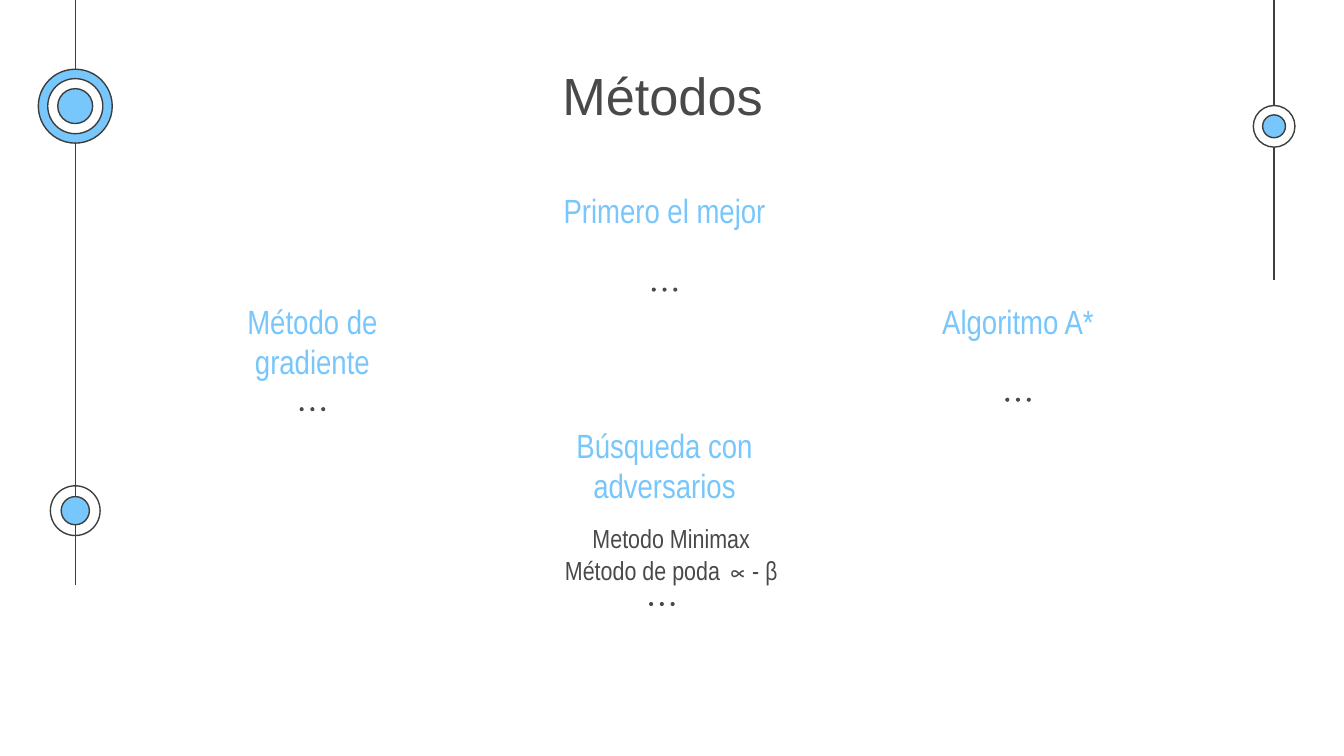
from lxml import etree
from pptx import Presentation
from pptx.dml.color import RGBColor
from pptx.enum.shapes import MSO_CONNECTOR, MSO_SHAPE
from pptx.enum.text import MSO_ANCHOR, MSO_AUTO_SIZE, PP_ALIGN
from pptx.oxml.ns import qn
from pptx.util import Inches, Pt

STRAIGHT = MSO_CONNECTOR.STRAIGHT
OVAL = MSO_SHAPE.OVAL
TOP = MSO_ANCHOR.TOP
NO_FIT = MSO_AUTO_SIZE.NONE
CENTER = PP_ALIGN.CENTER

SKY = RGBColor(0x77, 0xC6, 0xFC)
WHITE = RGBColor(0xFF, 0xFF, 0xFF)
INK = RGBColor(0x3D, 0x3D, 0x3D)
GRAY = RGBColor(0x49, 0x49, 0x49)

TITLE_FONT = "Arial"
BODY_FONT = "Arial Narrow"
SLIDE_WIDTH = Inches(10)
SLIDE_HEIGHT = SLIDE_WIDTH * 9 // 16
HEADING_WIDTH, HEADING_HEIGHT = 1.93, 0.36
DOT_SIZE, DOT_STEP = 0.03, 0.08

METHODS = [
    ("Primero el mejor", 3.98, 1.31, 0.87, 0.83),
    ("Método de gradiente", 1.36, 2.14, 0.87, 0.89),
    ("Algoritmo A*", 6.61, 2.14, 0.87, 0.82),
    ("Búsqueda con adversarios", 3.98, 3.06, 0.85, 1.42),
]
ADVERSARIAL_METHODS = ["Metodo Minimax", "Método de poda ∝- β"]


def place(holder, left, top, width, height):
    holder.left, holder.top = Inches(left), Inches(top)
    holder.width, holder.height = Inches(width), Inches(height)


def write(frame, lines, size, font_name, color):
    frame.word_wrap = True
    frame.auto_size = NO_FIT
    frame.vertical_anchor = TOP
    frame.margin_left = frame.margin_right = Inches(0.1)
    frame.margin_top = frame.margin_bottom = Inches(0.1)
    frame.text = "\n".join(lines)
    for paragraph in frame.paragraphs:
        paragraph.alignment = CENTER
        paragraph.space_before = Pt(0)
        paragraph.font.size = Pt(size)
        paragraph.font.name = font_name
        paragraph.font.color.rgb = color


def remove_bullets(frame):
    for paragraph in frame.paragraphs:
        properties = paragraph._p.get_or_add_pPr()
        properties.set("marL", "0")
        properties.set("indent", "0")
        properties.insert_element_before(
            properties.makeelement(qn("a:buNone")), "a:tabLst", "a:defRPr", "a:extLst")


def add_disc(slide, center_x, center_y, diameter, fill, outline=None):
    disc = slide.shapes.add_shape(
        OVAL, Inches(center_x - diameter / 2), Inches(center_y - diameter / 2),
        Inches(diameter), Inches(diameter))
    disc.shadow.inherit = False
    if fill is None:
        disc.fill.background()
    else:
        disc.fill.solid()
        disc.fill.fore_color.rgb = fill
    if outline is None:
        disc.line.fill.background()
    else:
        disc.line.color.rgb = outline
        disc.line.width = Pt(0.75)


def add_timeline(slide, x, length, targets):
    rail = slide.shapes.add_connector(STRAIGHT, Inches(x), 0, Inches(x), Inches(length))
    rail.line.color.rgb = INK
    rail.line.width = Pt(0.75)
    etree.SubElement(rail._element.spPr, qn("a:effectLst"))
    for y, rings in targets:
        for diameter, fill in rings:
            add_disc(slide, x, y, diameter, fill, INK)


def add_method(slide, name, left, top, dots_x, dots_y):
    heading = slide.shapes.add_textbox(
        Inches(left), Inches(top), Inches(HEADING_WIDTH), Inches(HEADING_HEIGHT))
    write(heading.text_frame, [name], 18, BODY_FONT, SKY)
    for index in range(3):
        add_disc(slide, left + dots_x + index * DOT_STEP + DOT_SIZE / 2,
                 top + dots_y + DOT_SIZE / 2, DOT_SIZE, GRAY)


def main():
    deck = Presentation()
    deck.slide_width, deck.slide_height = SLIDE_WIDTH, SLIDE_HEIGHT
    slide = deck.slides.add_slide(deck.slide_layouts[1])

    add_timeline(slide, 0.56, 4.35, [
        (0.79, [(0.55, SKY), (0.41, WHITE), (0.26, SKY)]),
        (3.8, [(0.37, None), (0.21, SKY)]),
    ])
    add_timeline(slide, 9.48, 2.08, [(0.94, [(0.31, WHITE), (0.17, SKY)])])

    title = slide.shapes.title
    place(title, 1.88, 0.37, 6.1, 0.65)
    write(title.text_frame, ["Métodos"], 28, TITLE_FONT, GRAY)

    for method in METHODS:
        add_method(slide, *method)

    adversarial = slide.placeholders[1]
    place(adversarial, 4.03, 3.79, 1.93, 1.18)
    write(adversarial.text_frame, ADVERSARIAL_METHODS, 14, BODY_FONT, GRAY)
    remove_bullets(adversarial.text_frame)

    deck.save("out.pptx")


if __name__ == "__main__":
    main()
